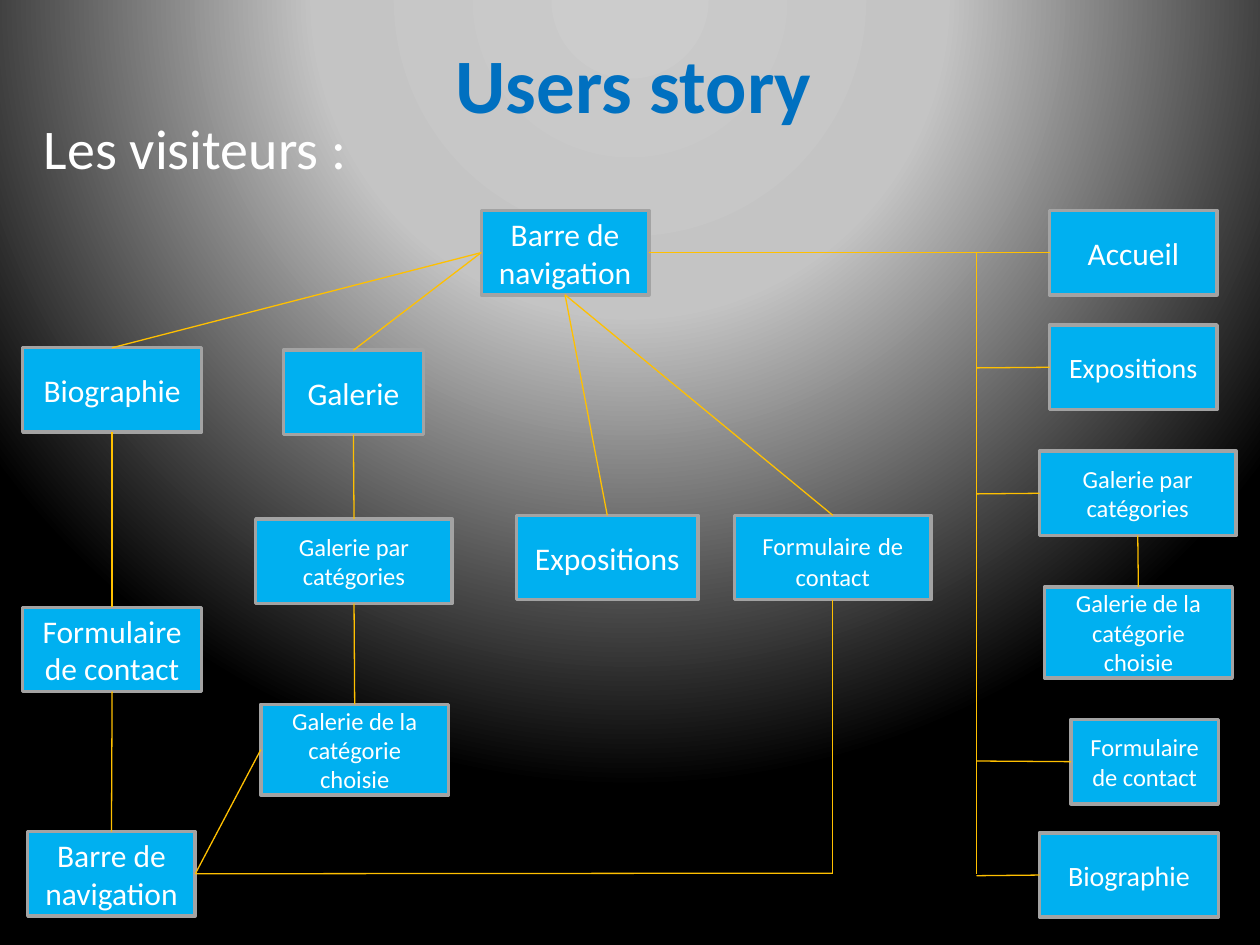
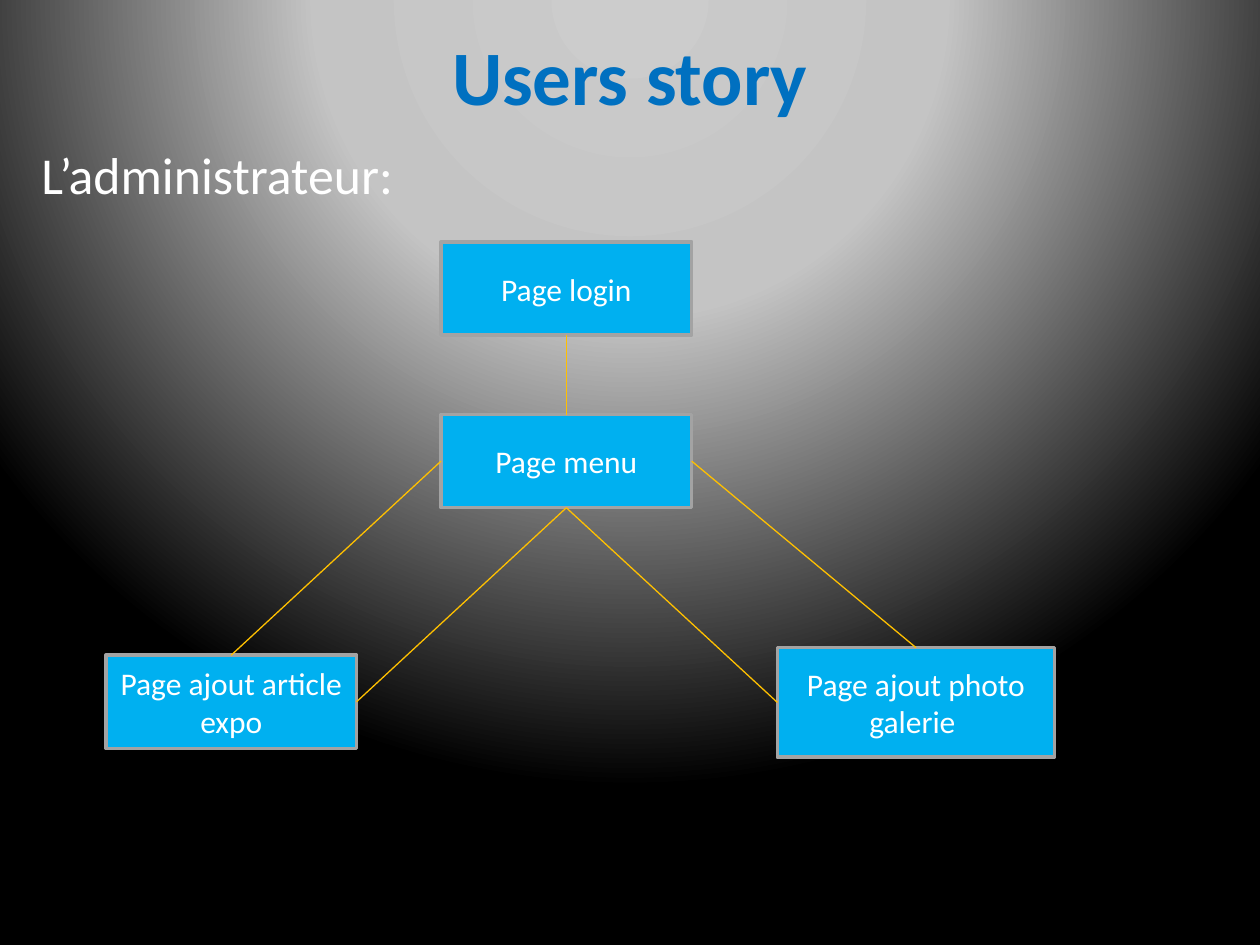
"""Build the two user story diagrams as a slide deck."""
import dataclasses

import lxml.etree
import pptx
import pptx.dml.color
import pptx.enum.shapes
import pptx.enum.text
import pptx.oxml
import pptx.oxml.ns
import pptx.util

Inches = pptx.util.Inches
Pt = pptx.util.Pt
qn = pptx.oxml.ns.qn
TOP, LEFT, BOTTOM, RIGHT = range(4)


@dataclasses.dataclass(frozen=True)
class Theme:
    font: str = "Calibri"
    title: str = "0070C0"
    text: str = "FFFFFF"
    box: str = "00B0F0"
    border: str = "A3A3A3"
    link: str = "FFC000"
    backdrop: tuple = ((0, "CCCCCC"), (40, "C4C4C4"), (100, "000000"))
    title_size: float = 44
    visitor_size: float = 32
    admin_size: float = 29.6
    large: float = 18
    medium: float = 16
    small: float = 14
    border_width: float = 2
    link_width: float = 0.75


def rgb(value):
    return pptx.dml.color.RGBColor.from_string(value)


class Deck:
    def __init__(self, theme):
        self.theme = theme
        self.prs = pptx.Presentation()
        self.prs.slide_width, self.prs.slide_height = Inches(10), Inches(7.5)
        self.s = None
        self.paint_backdrop()

    def paint_backdrop(self):
        master = self.prs.slide_master
        master.background.fill.solid()
        solid = master.element.find(".//" + qn("p:bgPr")).find(qn("a:solidFill"))
        stops = "".join(
            f'<a:gs pos="{pos * 1000}"><a:srgbClr val="{color}"/></a:gs>'
            for pos, color in self.theme.backdrop
        )
        gradient = pptx.oxml.parse_xml(
            f'<a:gradFill {pptx.oxml.ns.nsdecls("a")} rotWithShape="1">'
            f'<a:gsLst>{stops}</a:gsLst><a:path path="circle">'
            '<a:fillToRect l="50000" t="-80000" r="50000" b="180000"/>'
            "</a:path></a:gradFill>"
        )
        solid.getparent().replace(solid, gradient)

    def style(self, p, size, color, bold=False):
        p.font.name = self.theme.font
        p.font.size = Pt(size)
        p.font.color.rgb = rgb(color)
        p.font.bold = bold

    def slide(self, title, left, top):
        self.s = self.prs.slides.add_slide(self.prs.slide_layouts[5])
        sp = self.s.shapes.title
        sp.left, sp.top = Inches(left), Inches(top)
        sp.width, sp.height = Inches(9), Inches(1.25)
        tf = sp.text_frame
        tf.text = title
        tf.vertical_anchor = pptx.enum.text.MSO_ANCHOR.MIDDLE
        p = tf.paragraphs[0]
        p.alignment = pptx.enum.text.PP_ALIGN.CENTER
        self.style(p, self.theme.title_size, self.theme.title, True)

    def heading(self, text, left, top, width, size):
        sp = self.s.shapes.add_textbox(
            Inches(left), Inches(top), Inches(width), Inches(0.75)
        )
        tf = sp.text_frame
        tf.word_wrap = True
        p = tf.paragraphs[0]
        p.text = text
        p.space_before = Pt(round(size * 0.2, 1))
        self.style(p, size, self.theme.text)

    def box(self, text, left, top, width=1.33, height=0.67, size=None):
        sp = self.s.shapes.add_shape(
            pptx.enum.shapes.MSO_SHAPE.RECTANGLE,
            Inches(left), Inches(top), Inches(width), Inches(height),
        )
        sp.shadow.inherit = False
        sp.fill.solid()
        sp.fill.fore_color.rgb = rgb(self.theme.box)
        sp.line.color.rgb = rgb(self.theme.border)
        sp.line.width = Pt(self.theme.border_width)
        tf = sp.text_frame
        tf.word_wrap = True
        tf.vertical_anchor = pptx.enum.text.MSO_ANCHOR.MIDDLE
        p = tf.paragraphs[0]
        p.text = text
        p.alignment = pptx.enum.text.PP_ALIGN.CENTER
        self.style(p, size or self.theme.large, self.theme.text)
        return sp

    def link(self, start, end):
        line = self.s.shapes.add_connector(
            pptx.enum.shapes.MSO_CONNECTOR.STRAIGHT,
            *(0 if isinstance(v, pptx.shapes.base.BaseShape) else Inches(v)
              for v in (*self.anchor(start), *self.anchor(end))),
        )
        for point, join in ((start, line.begin_connect), (end, line.end_connect)):
            if not isinstance(point[0], (int, float)):
                join(*point)
        line.line.color.rgb = rgb(self.theme.link)
        line.line.width = Pt(self.theme.link_width)
        props = line._element.spPr
        lxml.etree.SubElement(props, qn("a:effectLst"))

    def anchor(self, point):
        return point if isinstance(point[0], (int, float)) else (0, 0)


def visitors(deck):
    t = deck.theme
    deck.slide("Users story", 0.53, 0.03)
    deck.heading("Les visiteurs :", 0.25, 0.85, 2.67, t.visitor_size)

    navigation = deck.box("Barre de navigation", 3.82, 1.67)
    biography = deck.box("Biographie", 0.18, 2.76, 1.42)
    contact = deck.box("Formulaire de contact", 0.18, 4.82, 1.42)
    back = deck.box("Barre de navigation", 0.22, 6.6)
    gallery = deck.box("Galerie", 2.25, 2.78, 1.11)
    categories = deck.box("Galerie par catégories", 2.03, 4.12, 1.56, size=t.small)
    chosen = deck.box(
        "Galerie de la catégorie choisie", 2.07, 5.59, 1.49, 0.72, t.small
    )
    shows = deck.box("Expositions", 4.1, 4.09, 1.44)
    form = deck.box("Formulaire", 5.83, 4.09, 1.56, size=t.small)
    p = form.text_frame.paragraphs[0]
    for text, size in ((" ", t.large), ("de contact", t.small)):
        r = p.add_run()
        r.text = text
        r.font.size = Pt(size)

    home = deck.box("Accueil", 8.33, 1.67)
    side_shows = deck.box("Expositions", 8.33, 2.58, size=t.medium)
    side_categories = deck.box("Galerie par catégories", 8.25, 3.58, 1.56, size=t.small)
    side_chosen = deck.box(
        "Galerie de la catégorie choisie", 8.29, 4.66, 1.49, 0.72, t.small
    )
    side_contact = deck.box("Formulaire de contact", 8.5, 5.71, 1.17, size=t.small)
    side_biography = deck.box("Biographie", 8.25, 6.61, 1.42, size=t.medium)

    spine = 7.75
    deck.link((spine, 2), (spine, 6.94))
    for sp in (side_shows, side_categories, side_contact, side_biography):
        deck.link((sp, LEFT), (spine, round((sp.top + sp.height / 2) / Inches(1), 2)))

    corner = (6.61, 6.93)
    for start, end in (
        ((home, LEFT), (navigation, RIGHT)),
        ((navigation, LEFT), (biography, TOP)),
        ((navigation, LEFT), (gallery, TOP)),
        ((shows, TOP), (navigation, BOTTOM)),
        ((form, TOP), (navigation, BOTTOM)),
        ((gallery, BOTTOM), (categories, TOP)),
        ((categories, BOTTOM), (chosen, TOP)),
        ((contact, TOP), (biography, BOTTOM)),
        ((back, TOP), (contact, BOTTOM)),
        (corner, (form, BOTTOM)),
        (corner, (back, RIGHT)),
        ((chosen, LEFT), (back, RIGHT)),
        ((side_chosen, TOP), (side_categories, BOTTOM)),
    ):
        deck.link(start, end)


def administrator(deck):
    deck.slide("Users story", 0.5, -0.03)
    deck.heading("L’administrateur:", 0.23, 1.08, 3.17, deck.theme.admin_size)

    login = deck.box("Page login", 3.5, 1.92, 1.99, 0.74)
    menu = deck.box("Page menu", 3.5, 3.29, 1.99, 0.74)
    article = deck.box("Page ajout article expo", 0.84, 5.2, 1.99, 0.74)
    photo = deck.box("Page ajout photo galerie ", 6.17, 5.14, 2.2, 0.87)

    for start, end in (
        ((login, BOTTOM), (menu, TOP)),
        ((menu, LEFT), (article, TOP)),
        ((menu, BOTTOM), (article, RIGHT)),
        ((photo, LEFT), (menu, BOTTOM)),
        ((photo, TOP), (menu, RIGHT)),
    ):
        deck.link(start, end)


def main():
    deck = Deck(Theme())
    visitors(deck)
    administrator(deck)
    deck.prs.save("out.pptx")


if __name__ == "__main__":
    main()
